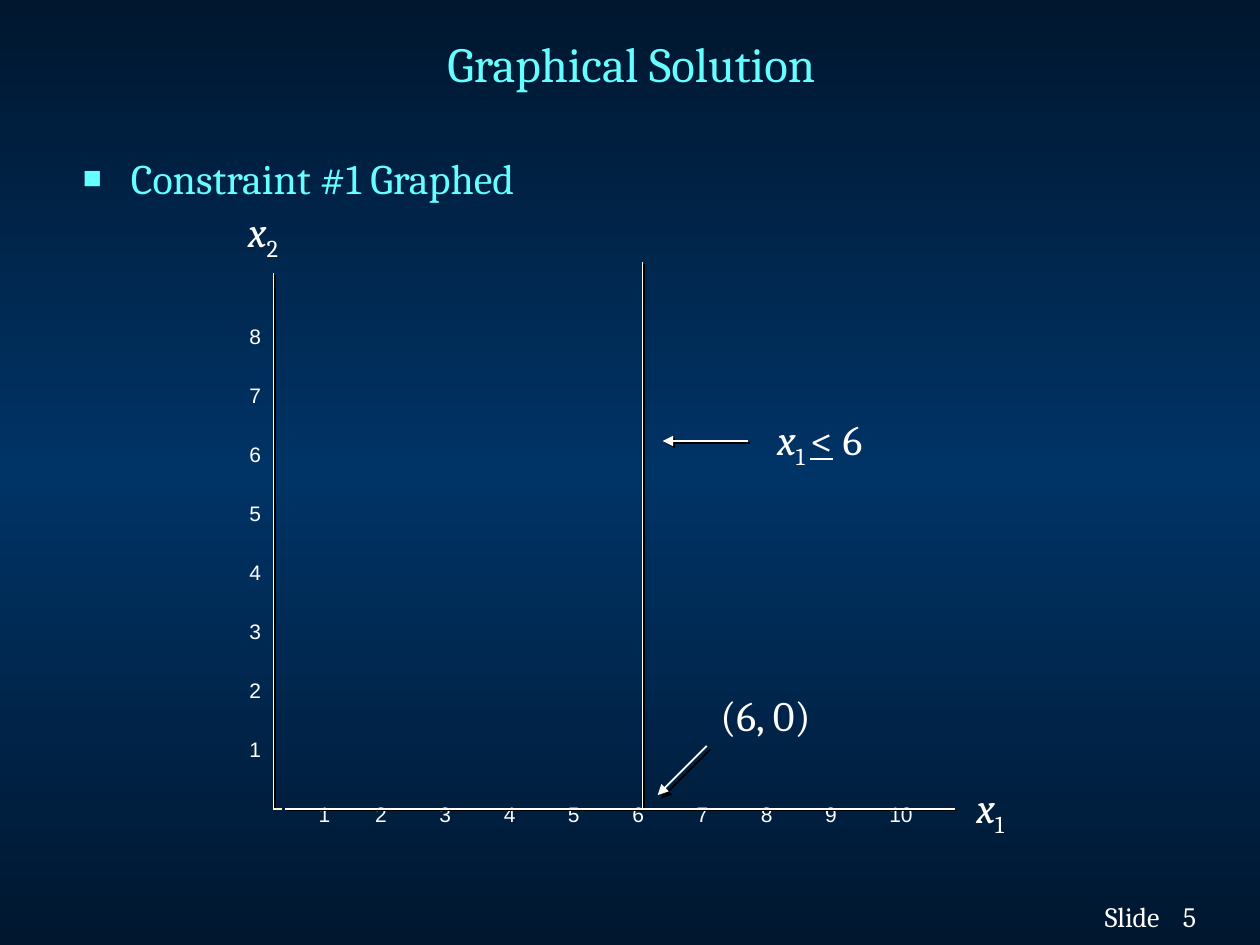
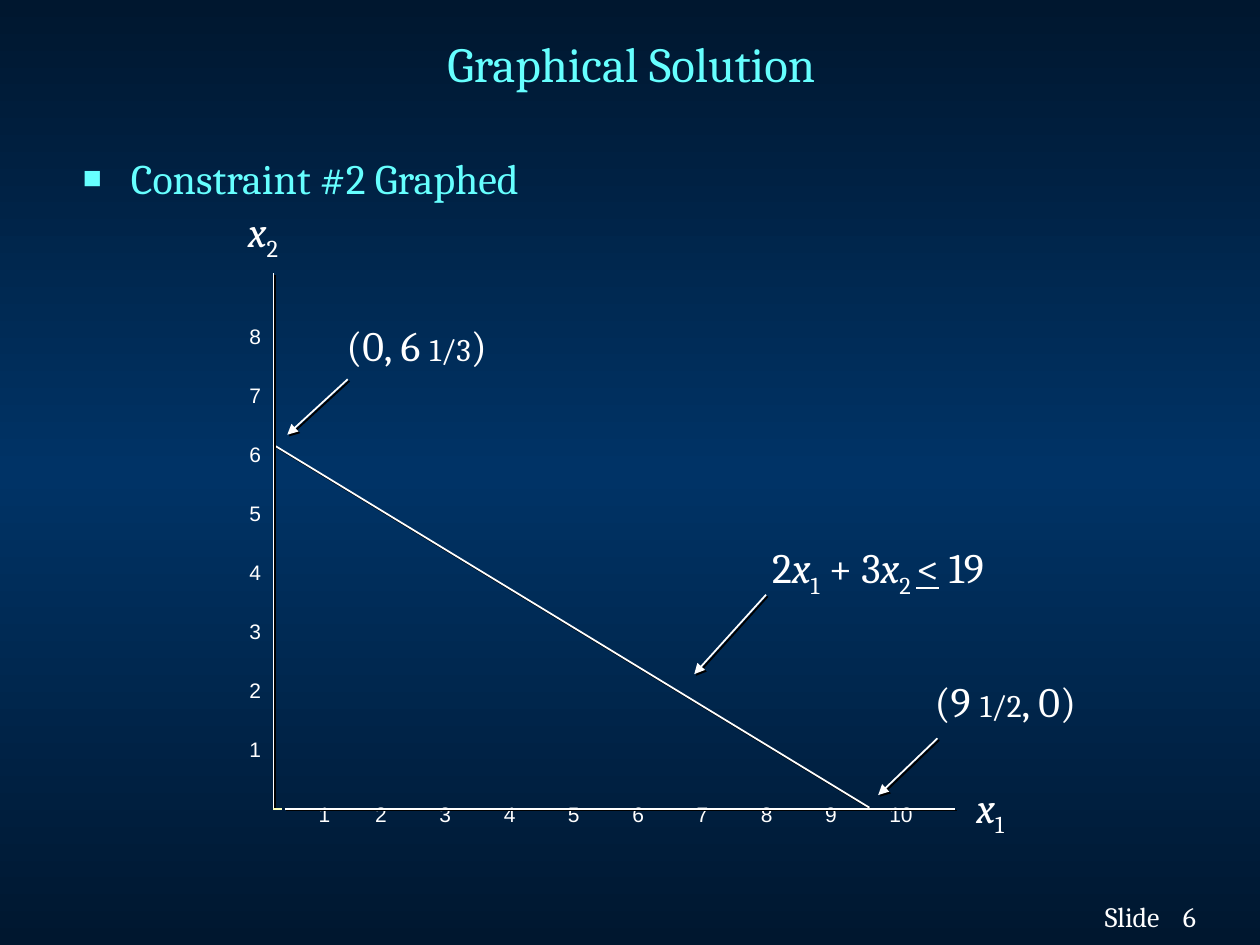
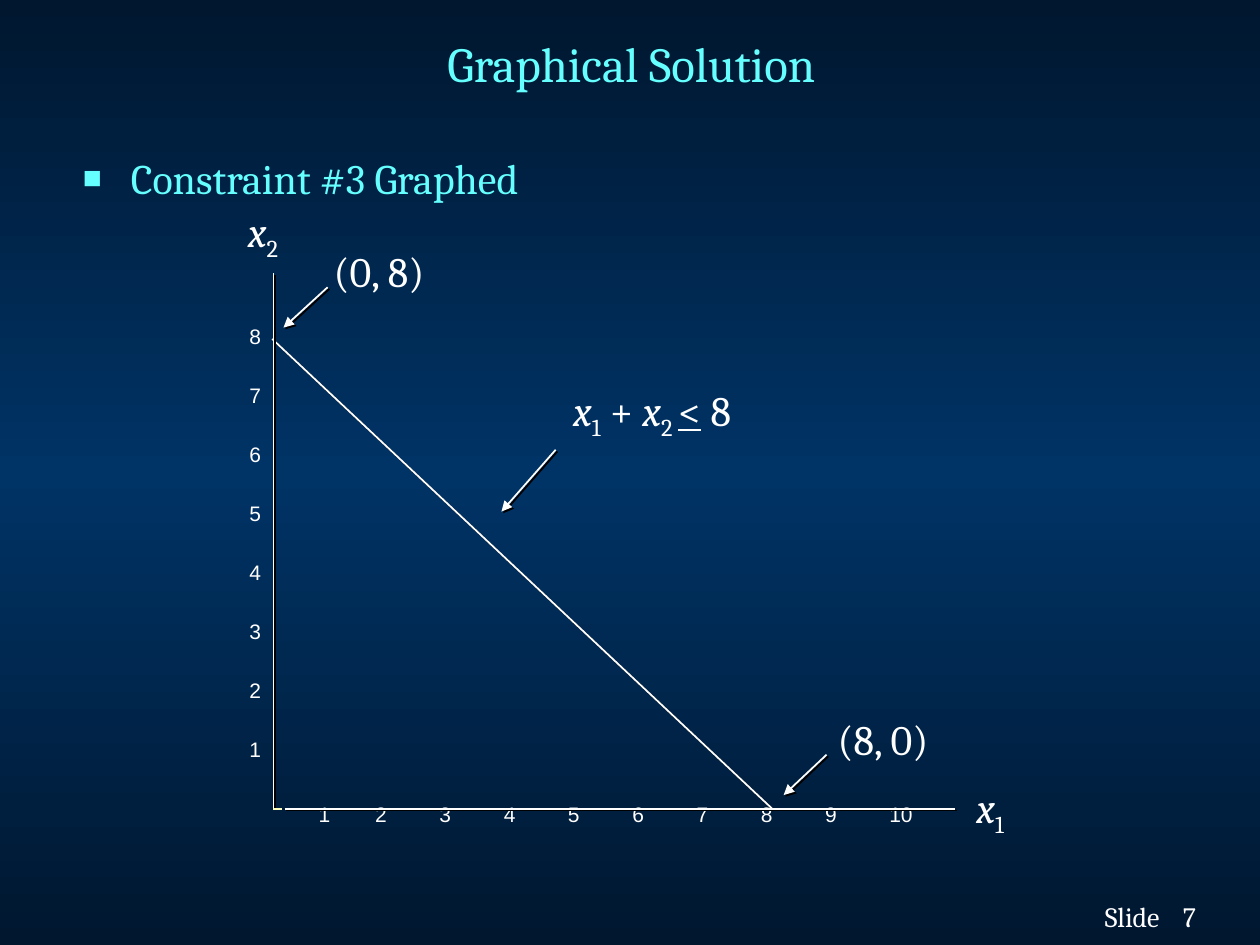
import copy
from dataclasses import dataclass

import pptx
import pptx.dml.color
import pptx.enum.shapes
import pptx.enum.text
import pptx.oxml
import pptx.oxml.ns
import pptx.util
from pptx.util import Inches

qn = pptx.oxml.ns.qn


@dataclass(frozen=True)
class Theme:
    edge: str = "00172F"
    middle: str = "003366"
    accent: str = "66FFFF"
    ink: str = "FFFFFF"
    cream: str = "FCFEB9"
    shadow: str = "000000"
    serif: str = "Cambria"
    sans: str = "Arial"
    title_size: int = 28
    body_size: int = 24
    fraction_size: int = 18
    footer_size: int = 16
    tick_size: int = 12


THEME = Theme()


@dataclass(frozen=True)
class Piece:
    """A run of text with its own formatting."""
    text: str
    italic: bool = False
    subscript: bool = False
    underline: bool = False
    size: int = THEME.body_size


@dataclass(frozen=True)
class Label:
    left: float
    top: float
    pieces: tuple[Piece, ...]
    width: float = 2.8


@dataclass(frozen=True)
class Line:
    start: tuple[float, float]
    end: tuple[float, float]
    arrow: bool = False
    color: str = THEME.ink
    shadow_distance: float = 1.4


@dataclass(frozen=True)
class ConstraintSlide:
    number: int
    heading: str
    lines: tuple[Line, ...]
    labels: tuple[Label, ...]


X = Piece("x", italic=True)
AT_MOST = Piece("<", underline=True)


def subscript(text: str) -> Piece:
    return Piece(text, subscript=True)


def fraction(text: str) -> Piece:
    return Piece(text, size=THEME.fraction_size)


def arrow(start: tuple[float, float], end: tuple[float, float],
          shadow_distance: float = 1.4) -> Line:
    return Line(start, end, arrow=True, shadow_distance=shadow_distance)


AXIS_LINES = (
    Line((2.26, 6.42), (7.58, 6.42)),
    Line((2.17, 2.17), (2.17, 6.41)),
    Line((2.17, 6.42), (2.24, 6.42), color=THEME.cream, shadow_distance=0),
)
AXIS_LABELS = (
    Label(1.87, 1.58, (X, subscript("2")), width=0.8),
    Label(7.65, 6.15, (X, subscript("1")), width=0.8),
)

SLIDES = (
    ConstraintSlide(
        5, "Constraint #1 Graphed",
        (Line((5.1, 6.42), (5.1, 2.08)),
         arrow((5.94, 3.5), (5.26, 3.5)),
         arrow((5.61, 5.92), (5.22, 6.31), shadow_distance=2.8)),
        (Label(6.07, 3.23, (X, subscript("1 "), AT_MOST, Piece(" 6"))),
         Label(5.62, 5.42, (Piece("(6, 0)"),)))),
    ConstraintSlide(
        6, "Constraint #2 Graphed",
        (Line((2.17, 3.53), (6.9, 6.41)),
         arrow((2.76, 3.01), (2.28, 3.45)),
         arrow((6.08, 4.72), (5.51, 5.35)),
         arrow((7.44, 5.86), (6.97, 6.31))),
        (Label(6.03, 4.25, (Piece("2"), X, subscript("1"), Piece(" + 3"), X,
                            subscript("2 "), AT_MOST, Piece(" 19"))),
         Label(2.65, 2.49, (Piece("(0, 6 "), fraction("1/3"), Piece(")"))),
         Label(7.32, 5.31, (Piece("(9 "), fraction("1/2"), Piece(", 0)")),
               width=2))),
    ConstraintSlide(
        7, "Constraint #3 Graphed",
        (Line((2.16, 2.69), (6.13, 6.42)),
         arrow((4.41, 3.57), (3.98, 4.06)),
         arrow((6.56, 5.99), (6.22, 6.31)),
         arrow((2.6, 2.28), (2.25, 2.6))),
        (Label(4.45, 3, (X, subscript("1"), Piece(" + "), X, subscript("2 "),
                         AT_MOST, Piece(" 8"))),
         Label(2.55, 1.9, (Piece("(0, 8)"),)),
         Label(6.55, 5.61, (Piece("(8, 0)"),)))),
)


def rgb(color: str) -> pptx.dml.color.RGBColor:
    return pptx.dml.color.RGBColor.from_string(color)


def set_font(font, size: float, color: str = THEME.ink, name: str = THEME.serif) -> None:
    font.size = pptx.util.Pt(size)
    font.name = name
    font.color.rgb = rgb(color)


def add_element(parent, tag: str, **attributes: str):
    element = parent.makeelement(qn(tag), attributes)
    parent.append(element)
    return element


def paint_background(master) -> None:
    fill = master.background.fill
    fill.gradient()
    fill.gradient_angle = 270
    first, second = list(fill.gradient_stops)[:2]
    first.color.rgb, first.position = rgb(THEME.edge), 0
    second.color.rgb, second.position = rgb(THEME.middle), 0.5
    stops = master._element.find(".//" + qn("p:bg")).find(".//" + qn("a:gsLst"))
    last = copy.deepcopy(stops[0])
    last.set("pos", "100000")
    stops.append(last)


def add_text_box(slide, left: float, top: float, width: float, height: float):
    shape = slide.shapes.add_textbox(
        Inches(left), Inches(top), Inches(width), Inches(height))
    shape.text_frame.word_wrap = True
    return shape.text_frame


def add_title(slide) -> None:
    title = slide.shapes.title
    title.left, title.top = Inches(0.76), Inches(0.18)
    title.width, title.height = Inches(8.5), Inches(0.64)
    frame = title.text_frame
    frame.text = "Graphical Solution"
    frame.vertical_anchor = pptx.enum.text.MSO_ANCHOR.MIDDLE
    frame.paragraphs[0].alignment = pptx.enum.text.PP_ALIGN.CENTER
    set_font(frame.paragraphs[0].runs[0].font, THEME.title_size, THEME.accent)


def add_heading(slide, text: str) -> None:
    frame = add_text_box(slide, 0.56, 1.16, 8.5, 0.5)
    frame.text = text
    paragraph = frame.paragraphs[0]
    properties = paragraph._p.get_or_add_pPr()
    properties.set("marL", str(Inches(0.38)))
    properties.set("indent", str(-Inches(0.38)))
    bullet_color = add_element(properties, "a:buClr")
    add_element(bullet_color, "a:srgbClr", val=THEME.accent)
    add_element(properties, "a:buSzPct", val="75000")
    add_element(properties, "a:buFont", typeface=THEME.sans)
    add_element(properties, "a:buChar", char="■")
    set_font(paragraph.runs[0].font, THEME.body_size, THEME.accent)


def add_vertical_ticks(slide) -> None:
    frame = add_text_box(slide, 1.88, 2.52, 0.35, 3.52)
    frame.text = "\n".join(str(value) for value in range(8, 0, -1))
    for index, paragraph in enumerate(frame.paragraphs):
        if index:
            paragraph.space_before = pptx.util.Pt(19.33)
        set_font(paragraph.runs[0].font, THEME.tick_size, name=THEME.sans)


def add_horizontal_ticks(slide) -> None:
    frame = add_text_box(slide, 2.43, 6.31, 5.2, 0.3)
    frame.text = "\t".join(str(value) for value in range(1, 11))
    paragraph = frame.paragraphs[0]
    tabs = add_element(paragraph._p.get_or_add_pPr(), "a:tabLst")
    for index in range(9):
        add_element(tabs, "a:tab", pos=str(Inches(0.45 + 0.51 * index)), algn="l")
    for run in paragraph.runs:
        set_font(run.font, THEME.tick_size, name=THEME.sans)


def add_line(slide, line: Line) -> None:
    connector = slide.shapes.add_connector(
        pptx.enum.shapes.MSO_CONNECTOR.STRAIGHT,
        *(Inches(value) for value in line.start + line.end))
    connector.line.color.rgb = rgb(line.color)
    connector.line.width = pptx.util.Pt(1)
    if line.arrow:
        add_element(connector.line._get_or_add_ln(), "a:tailEnd", type="triangle")
    effects = add_element(connector._element.spPr, "a:effectLst")
    if line.shadow_distance:
        shadow = add_element(effects, "a:outerShdw", dir="2700000", algn="ctr",
                             dist=str(pptx.util.Pt(line.shadow_distance)))
        add_element(shadow, "a:srgbClr", val=THEME.shadow)


def add_label(slide, label: Label) -> None:
    paragraph = add_text_box(slide, label.left, label.top, label.width, 0.5).paragraphs[0]
    for piece in label.pieces:
        run = paragraph.add_run()
        run.text = piece.text
        set_font(run.font, piece.size)
        run.font.italic = piece.italic
        run.font.underline = piece.underline
        if piece.subscript:
            run._r.get_or_add_rPr().set("baseline", "-25000")


def add_footer(slide, number: int) -> None:
    for text, left, width in (("Slide", 8.67, 0.75), (str(number), 9.29, 0.5)):
        frame = add_text_box(slide, left, 7.09, width, 0.36)
        frame.text = text
        set_font(frame.paragraphs[0].runs[0].font, THEME.footer_size)


def build_slide(presentation, content: ConstraintSlide) -> None:
    slide = presentation.slides.add_slide(
        presentation.slide_layouts.get_by_name("Title Only"))
    add_footer(slide, content.number)
    add_vertical_ticks(slide)
    add_horizontal_ticks(slide)
    add_title(slide)
    add_heading(slide, content.heading)
    for line in content.lines + AXIS_LINES:
        add_line(slide, line)
    for label in AXIS_LABELS + content.labels:
        add_label(slide, label)


def main() -> None:
    presentation = pptx.Presentation()
    presentation.slide_width = Inches(10)
    presentation.slide_height = Inches(7.5)
    paint_background(presentation.slide_master)
    for content in SLIDES:
        build_slide(presentation, content)
    presentation.save("out.pptx")


if __name__ == "__main__":
    main()
